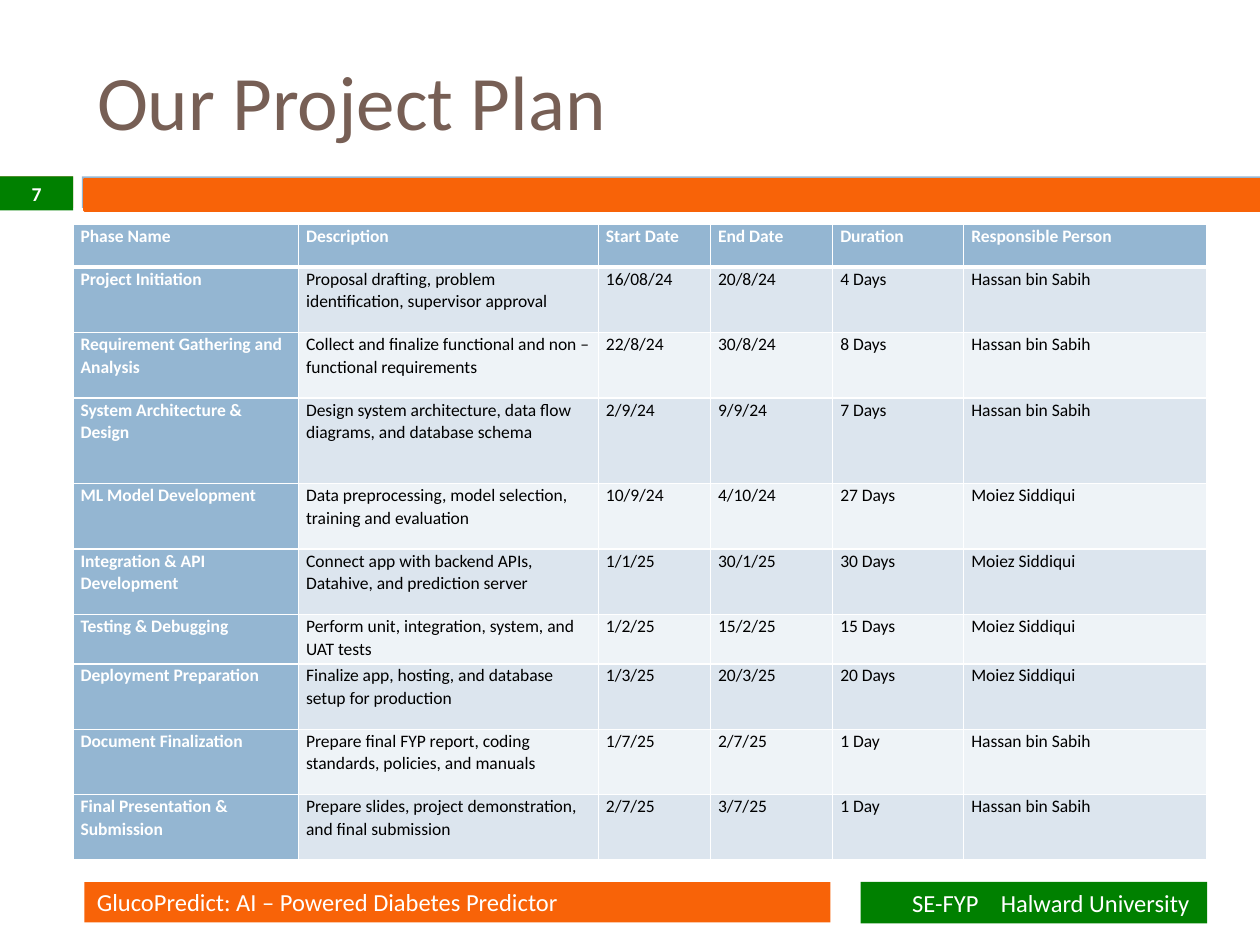
from lxml.etree import SubElement
from pptx import Presentation
from pptx.dml.color import RGBColor
from pptx.enum.shapes import MSO_SHAPE as Shape
from pptx.enum.text import MSO_ANCHOR as Anchor, MSO_AUTO_SIZE as AutoSize, PP_ALIGN as Align
from pptx.oxml.ns import qn
from pptx.util import Inches, Pt

FONT = "Calibri"
WHITE, BLACK, BROWN = "FFFFFF", "000000", "775F55"
ORANGE, GREEN, RUST, BLUE = "F86308", "008000", "DD8047", "94B6D2"
BANDS = ("DCE5EE", "EEF3F7")

COLUMN_WIDTHS = (1.79, 2.38, 0.89, 0.97, 1.04, 1.93)
ROW_HEIGHT = 0.52
SPECIAL_HEIGHTS = {0: 0.34, 3: 0.68, 6: 0.39}
HASSAN, MOIEZ = "Hassan bin Sabih", "Moiez Siddiqui"
PLAN = (
    ("Phase Name", "Description", "Start Date", "End Date", "Duration", "Responsible Person"),
    ("Project Initiation", "Proposal drafting, problem identification, supervisor approval",
     "16/08/24", "20/8/24", "4 Days", HASSAN),
    ("Requirement Gathering and Analysis",
     "Collect and finalize functional and non – functional requirements",
     "22/8/24", "30/8/24", "8 Days", HASSAN),
    ("System Architecture & Design",
     "Design system architecture, data flow diagrams, and database schema",
     "2/9/24", "9/9/24", "7 Days", HASSAN),
    ("ML Model Development", "Data preprocessing, model selection, training and evaluation",
     "10/9/24", "4/10/24", "27 Days", MOIEZ),
    ("Integration & API Development",
     "Connect app with backend APIs, Datahive, and prediction server",
     "1/1/25", "30/1/25", "30 Days", MOIEZ),
    ("Testing & Debugging", "Perform unit, integration, system, and UAT tests",
     "1/2/25", "15/2/25", "15 Days", MOIEZ),
    ("Deployment Preparation", "Finalize app, hosting, and database setup for production",
     "1/3/25", "20/3/25", "20 Days", MOIEZ),
    ("Document Finalization", "Prepare final FYP report, coding standards, policies, and manuals",
     "1/7/25", "2/7/25", "1 Day", HASSAN),
    ("Final Presentation & Submission",
     "Prepare slides, project demonstration, and final submission",
     "2/7/25", "3/7/25", "1 Day", HASSAN),
)


def color(value):
    return RGBColor.from_string(value)


def style(paragraph, size, font_color, bold=False, align=Align.LEFT):
    paragraph.alignment = align
    font = paragraph.font
    font.name, font.size, font.bold = FONT, Pt(size), bold
    font.color.rgb = color(font_color)


def add_bar(slide, left, top, width, height, fill, line=None):
    bar = slide.shapes.add_shape(
        Shape.RECTANGLE, Inches(left), Inches(top), Inches(width), Inches(height))
    bar.shadow.inherit = False
    bar.fill.solid()
    bar.fill.fore_color.rgb = color(fill)
    if line:
        bar.line.color.rgb = color(line)
        bar.line.width = Pt(1.5)
    else:
        bar.line.fill.background()
    return bar


def label(bar, text, size, bold=False, align=Align.LEFT):
    frame = bar.text_frame
    frame.word_wrap = True
    frame.vertical_anchor = Anchor.MIDDLE
    frame.margin_top = frame.margin_bottom = 0
    paragraph = frame.paragraphs[0]
    paragraph.text = text
    style(paragraph, size, WHITE, bold, align)


def add_title(slide, text):
    title = slide.shapes.title
    title.left, title.top = Inches(0.67), Inches(0.25)
    title.width, title.height = Inches(8.33), Inches(1.08)
    title.text_frame.text = text
    title.text_frame.auto_size = AutoSize.NONE
    title.text_frame.vertical_anchor = Anchor.MIDDLE
    style(title.text_frame.paragraphs[0], 44, BROWN)


def add_course_label(slide):
    """Green footer with a widened space between the course and the university."""
    bar = add_bar(slide, 6.83, 7, 2.75, 0.33, GREEN)
    label(bar, "SE-FYP", 14, align=Align.RIGHT)
    bar.text_frame.margin_right = Inches(0.14)
    paragraph = bar.text_frame.paragraphs[0]
    gap = paragraph.add_run()
    gap.text = " "
    gap.font.size = Pt(14)
    gap.font._element.set("spc", "950")
    paragraph.add_run().text = "Halward University"


def set_borders(cell, top, bottom):
    properties = cell._tc.get_or_add_tcPr()
    for side, width in (("L", 1), ("R", 1), ("T", top), ("B", bottom)):
        border = SubElement(properties, qn(f"a:ln{side}"), w=str(Pt(width)))
        fill = SubElement(border, qn("a:solidFill"))
        SubElement(fill, qn("a:srgbClr"), val=WHITE)


def fill_cell(cell, text, row, column):
    is_heading = row == 0 or column == 0
    set_borders(cell, top=3 if row == 1 else 1, bottom=3 if row == 0 else 1)
    cell.fill.solid()
    cell.fill.fore_color.rgb = color(BLUE if is_heading else BANDS[(row - 1) % 2])
    cell.margin_left = cell.margin_right = Inches(0.06)
    cell.margin_top = cell.margin_bottom = 0
    cell.text = text
    paragraph = cell.text_frame.paragraphs[0]
    paragraph.line_spacing = 1.07
    paragraph.space_after = Pt(8)
    style(paragraph, 10, WHITE if is_heading else BLACK, is_heading)


def add_plan_table(slide):
    table = slide.shapes.add_table(
        len(PLAN), len(COLUMN_WIDTHS), Inches(0.58), Inches(1.78), Inches(9), Inches(5.06)).table
    table.first_col = True
    for column, width in zip(table.columns, COLUMN_WIDTHS):
        column.width = Inches(width)
    for row, texts in enumerate(PLAN):
        table.rows[row].height = Inches(SPECIAL_HEIGHTS.get(row, ROW_HEIGHT))
        for column, text in enumerate(texts):
            fill_cell(table.cell(row, column), text, row, column)


def main():
    presentation = Presentation()
    presentation.slide_width, presentation.slide_height = Inches(10), Inches(7.5)
    slide = presentation.slides.add_slide(presentation.slide_layouts[5])

    add_bar(slide, 0, 1.4, 0.58, 0.25, RUST)
    add_bar(slide, 0.65, 1.4, 9.35, 0.25, BLUE)
    add_bar(slide, 0.67, 1.42, 9.33, 0.25, ORANGE, line=ORANGE)
    add_title(slide, "Our Project Plan")
    label(add_bar(slide, 0.67, 7, 5.92, 0.32, ORANGE),
          "GlucoPredict: AI – Powered Diabetes Predictor", 14)
    label(add_bar(slide, 0, 1.4, 0.58, 0.27, GREEN), "7", 11.2, bold=True, align=Align.CENTER)
    add_course_label(slide)
    add_plan_table(slide)

    presentation.save("out.pptx")


if __name__ == "__main__":
    main()
